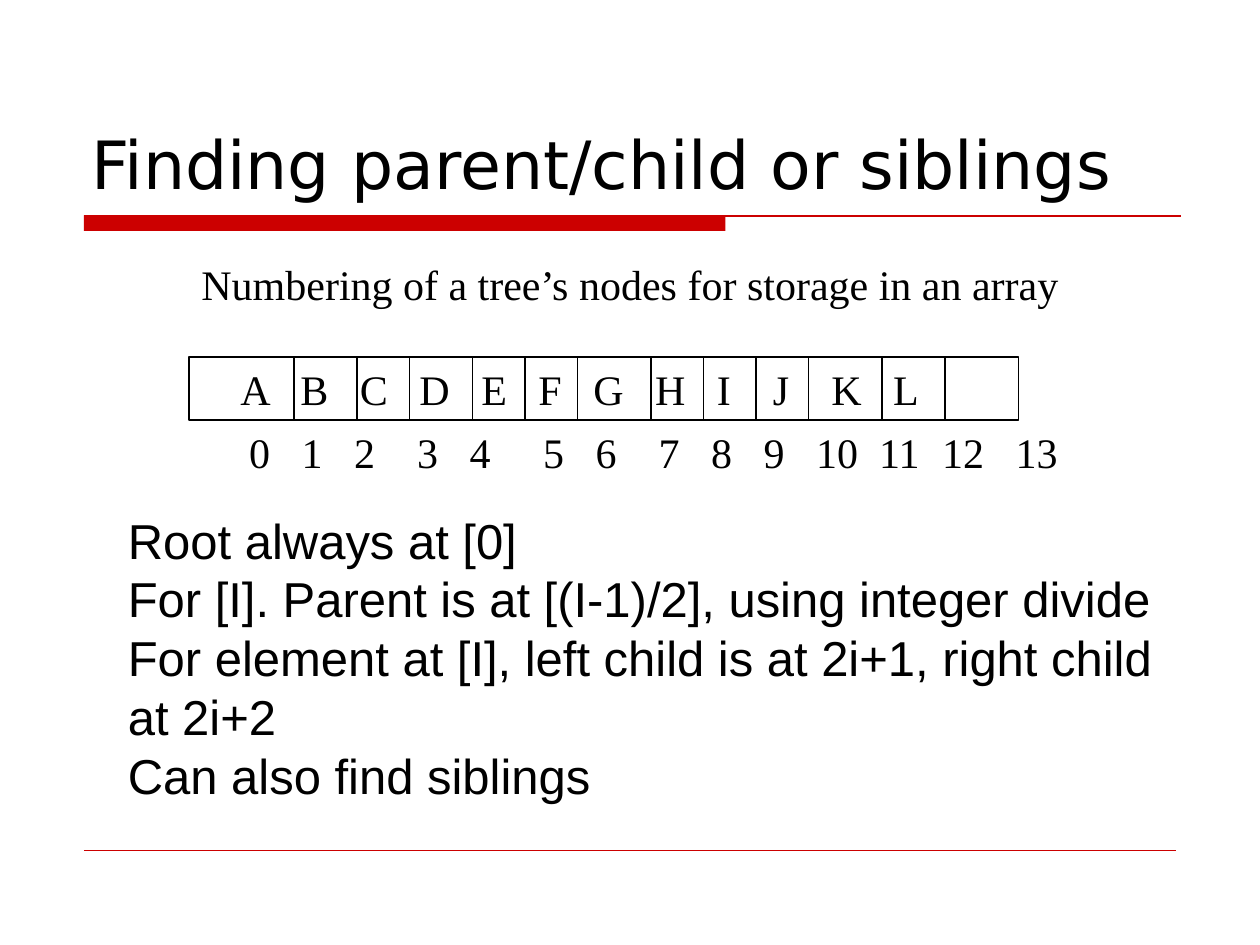
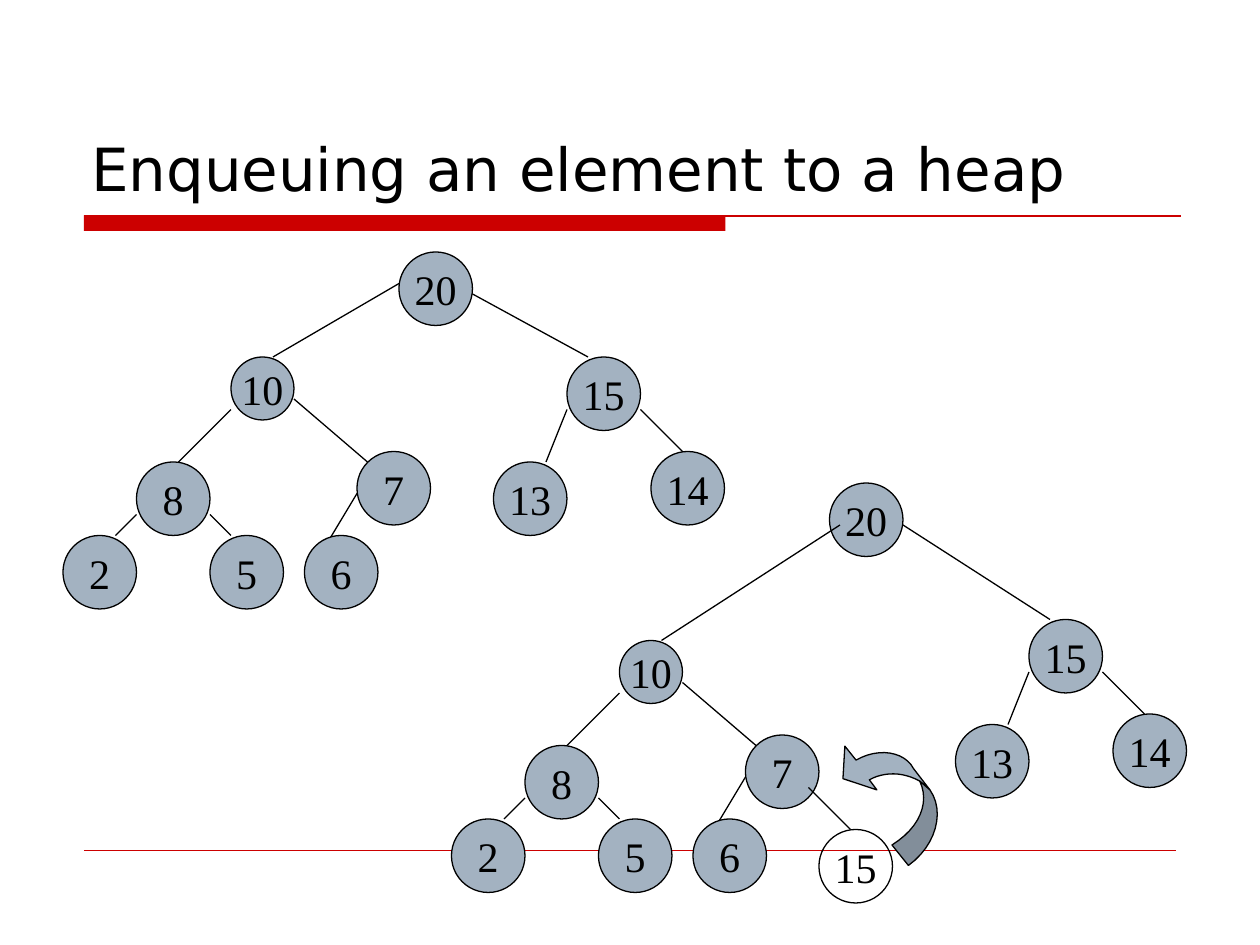
from lxml import etree
from pptx import Presentation
from pptx.dml.color import RGBColor
from pptx.enum.shapes import MSO_CONNECTOR, MSO_SHAPE
from pptx.enum.text import MSO_ANCHOR, PP_ALIGN
from pptx.oxml.ns import qn
from pptx.util import Pt

BLACK = RGBColor(0x00, 0x00, 0x00)
RED = RGBColor(0xCC, 0x00, 0x00)
NODE_BLUE = RGBColor(0xA3, 0xB2, 0xC1)
SHADE_BLUE = RGBColor(0x82, 0x8E, 0x9A)

STRAIGHT = MSO_CONNECTOR.STRAIGHT
RECTANGLE, ELLIPSE = MSO_SHAPE.RECTANGLE, MSO_SHAPE.OVAL
TOP, MIDDLE, BOTTOM = MSO_ANCHOR.TOP, MSO_ANCHOR.MIDDLE, MSO_ANCHOR.BOTTOM
LEFT, CENTER = PP_ALIGN.LEFT, PP_ALIGN.CENTER

TITLE_FONT = {"name": "DejaVu Sans", "size": Pt(38)}
LONG_TITLE_FONT = {"name": "DejaVu Sans", "size": Pt(34)}
SERIF_FONT = {"name": "Times New Roman", "size": Pt(24)}
BODY_FONT = {"name": "Arial", "size": Pt(28)}

TITLE_BOX = (45, 24, 630, 95.5)
NODE_SIZE = 42

# Nodes are (label, x, y, size), edges (x1, y1, x2, y2), from the subtree's corner
LEFT_NODES = [("10", 96, 0, 36), ("8", 42, 60, NODE_SIZE), ("7", 168, 54, NODE_SIZE),
              ("6", 138, 102, NODE_SIZE), ("2", 0, 102, NODE_SIZE), ("5", 84, 102, NODE_SIZE)]
LEFT_EDGES = [(96, 30, 66, 60), (132, 24, 174, 60), (42, 90, 30, 102),
              (84, 90, 96, 102), (168, 78, 150, 108)]
RIGHT_NODES = [("15", 42, 0, NODE_SIZE), ("13", 0, 60, NODE_SIZE), ("14", 90, 54, NODE_SIZE)]
RIGHT_EDGES = [(42, 30, 30, 60), (84, 30, 108, 54)]
LEFT_JOIN, RIGHT_JOIN = 120, 54

# Array cells
LETTERS = "ABCDEFGHIJKL"
LETTER_STOPS = [22.3, 56.6, 90.6, 124.6, 160, 192.6, 224, 259.3, 294.6, 326.6, 360, 395.3]
INDEX_STOPS = [30, 60, 96, 126, 168, 198, 234, 264, 294, 324, 360, 396, 438]
DIVIDERS = [60, 96, 126, 162, 192, 222, 264, 294, 324, 354, 396, 432]


def points(*values):
    return [Pt(value) for value in values]


def set_outline(shape, fill, line=BLACK):
    shape.shadow.inherit = False
    if fill is None:
        shape.fill.background()
    else:
        shape.fill.solid()
        shape.fill.fore_color.rgb = fill
    if line is None:
        shape.line.fill.background()
    else:
        shape.line.color.rgb = line
        shape.line.width = Pt(0.75)


def write_text(shape, lines, font, anchor=TOP, align=LEFT, wrap=True):
    frame = shape.text_frame
    frame_format = {"word_wrap": wrap, "vertical_anchor": anchor,
                    "margin_left": Pt(7.2), "margin_right": Pt(7.2),
                    "margin_top": Pt(3.6), "margin_bottom": Pt(3.6)}
    for name, value in frame_format.items():
        setattr(frame, name, value)
    for index, line in enumerate(lines):
        paragraph = frame.add_paragraph() if index else frame.paragraphs[0]
        paragraph.alignment = align
        run = paragraph.add_run()
        run.text = line
        for name, value in font.items():
            setattr(run.font, name, value)
        run.font.color.rgb = BLACK


def add_text(slide, box, lines, font, **options):
    shape = slide.shapes.add_textbox(*points(*box))
    write_text(shape, lines, font, **options)
    return shape


def add_line(slide, x1, y1, x2, y2, color=BLACK, width=0.75):
    line = slide.shapes.add_connector(STRAIGHT, *points(x1, y1, x2, y2))
    line.line.color.rgb = color
    line.line.width = Pt(width)
    etree.SubElement(line._element.spPr, qn("a:effectLst"))


def set_tab_stops(shape, stops):
    properties = shape.text_frame.paragraphs[0]._p.get_or_add_pPr()
    tab_list = etree.SubElement(properties, qn("a:tabLst"))
    for stop in stops:
        etree.SubElement(tab_list, qn("a:tab"), pos=str(Pt(stop)), algn="l")


def add_base_slide(presentation, title, font):
    """Blank slide with the title, the red band and the footer rule."""
    slide = presentation.slides.add_slide(presentation.slide_layouts[6])
    band = slide.shapes.add_shape(RECTANGLE, *points(48, 123.1, 366.5, 8.9))
    set_outline(band, RED, None)
    add_line(slide, 48, 123.4, 674.6, 123.4, RED, 1)
    add_line(slide, 48, 486, 672, 486, RED, 0.25)
    add_text(slide, TITLE_BOX, [title], font, anchor=BOTTOM)
    return slide


def add_array(slide, left, top, width, height):
    """Row of lettered cells with the indexes below."""
    row = slide.shapes.add_shape(RECTANGLE, *points(left, top, width, height))
    set_outline(row, None)
    write_text(row, ["\t" + "\t".join(LETTERS)], SERIF_FONT)
    set_tab_stops(row, LETTER_STOPS)
    indexes = add_text(slide, (left + 27.3, top + height, 500, height),
                       ["\t".join(str(number) for number in range(14))],
                       SERIF_FONT)
    set_tab_stops(indexes, INDEX_STOPS)
    for offset in DIVIDERS:
        add_line(slide, left + offset, top, left + offset, top + height)


def add_node(slide, label, left, top, size=NODE_SIZE, fill=NODE_BLUE):
    node = slide.shapes.add_shape(ELLIPSE, *points(left, top, size, size))
    set_outline(node, fill)
    write_text(node, [label], SERIF_FONT, anchor=MIDDLE, align=CENTER, wrap=False)


def add_subtree(slide, left, top, nodes, edges):
    for x1, y1, x2, y2 in edges:
        add_line(slide, left + x1, top + y1, left + x2, top + y2)
    for label, x, y, size in nodes:
        add_node(slide, label, left + x, top + y, size)


def add_heap(slide, root, left_corner, right_corner, left_start, right_start):
    """Heap whose root edges start at offsets from the root's corner."""
    add_subtree(slide, *left_corner, LEFT_NODES, LEFT_EDGES)
    add_subtree(slide, *right_corner, RIGHT_NODES, RIGHT_EDGES)
    add_node(slide, "20", *root)
    for start, corner, join in ((left_start, left_corner, LEFT_JOIN),
                                (right_start, right_corner, RIGHT_JOIN)):
        add_line(slide, root[0] + start[0], root[1] + start[1], corner[0] + join, corner[1])


def curve(start, control1, control2, end, steps=12):
    """Points along a cubic curve, both ends included."""
    result = []
    for step in range(steps + 1):
        t = step / steps
        weights = ((1 - t) ** 3, 3 * t * (1 - t) ** 2, 3 * t * t * (1 - t), t ** 3)
        corners = (start, control1, control2, end)
        result.append(tuple(sum(weight * corner[axis] for weight, corner in zip(weights, corners))
                            for axis in (0, 1)))
    return result


def add_swap_arrow(slide, left, top):
    """Curved arrow: a light head and a shaded tail."""
    tail = (curve((39.1, 80.6), (55, 69.1), (60, 49.7), (51.4, 37.4))
            + curve((45.6, 32.4), (51.4, 44.6), (45.6, 59), (29.7, 68.9)))
    head = ([(51.4, 37.4)] + curve((42, 25.2), (37, 15.5), (22, 13), (9.2, 20.4))
            + [(2.8, 12.4), (1.7, 31), (21.1, 37.4)]
            + curve((16.8, 31.7), (25, 27), (36, 27), (45.6, 32.4)))
    for outline, fill in ((head, NODE_BLUE), (tail, SHADE_BLUE)):
        vertices = [points(left + x, top + y) for x, y in outline]
        builder = slide.shapes.build_freeform(*vertices[0])
        builder.add_line_segments(vertices[1:], close=True)
        set_outline(builder.convert_to_shape(), fill)


def add_numbering_slide(presentation):
    slide = add_base_slide(presentation, "Finding parent/child or siblings", TITLE_FONT)
    add_array(slide, 108, 204, 474, 36)
    add_text(slide, (108, 144, 505.4, 36),
             ["Numbering of a tree’s nodes for storage in an array"], SERIF_FONT, wrap=False)
    add_text(slide, (66, 288, 630, 175.7),
             ["Root always at [0]",
              "For [I]. Parent is at [(I-1)/2], using integer divide",
              "For element at [I], left child is at 2i+1, right child at 2i+2",
              "Can also find siblings"],
             BODY_FONT)


def add_enqueue_slide(presentation):
    slide = add_base_slide(presentation, "Enqueuing an element to a heap", LONG_TITLE_FONT)
    # Heap before the insertion
    add_heap(slide, (228, 144), (36, 204), (282, 204), (0, 18), (42, 24))
    # Heap with the new element
    add_heap(slide, (474, 276), (258, 366), (546, 354), (6, 24), (42, 24))
    add_node(slide, "15", 468, 474, fill=None)
    add_line(slide, 462, 450, 486, 474)
    add_swap_arrow(slide, 480, 414)


def main():
    presentation = Presentation()
    presentation.slide_width, presentation.slide_height = points(720, 540)
    add_numbering_slide(presentation)
    add_enqueue_slide(presentation)
    presentation.save("out.pptx")


if __name__ == "__main__":
    main()
